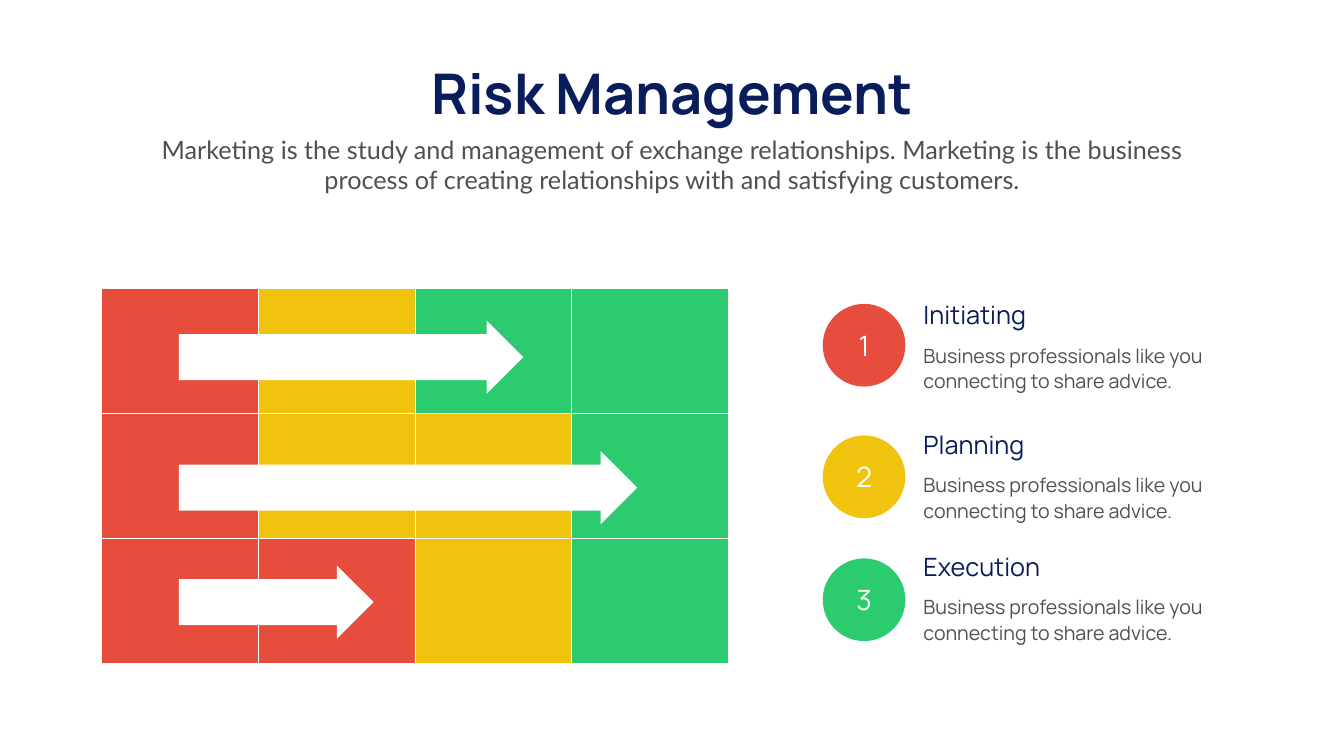
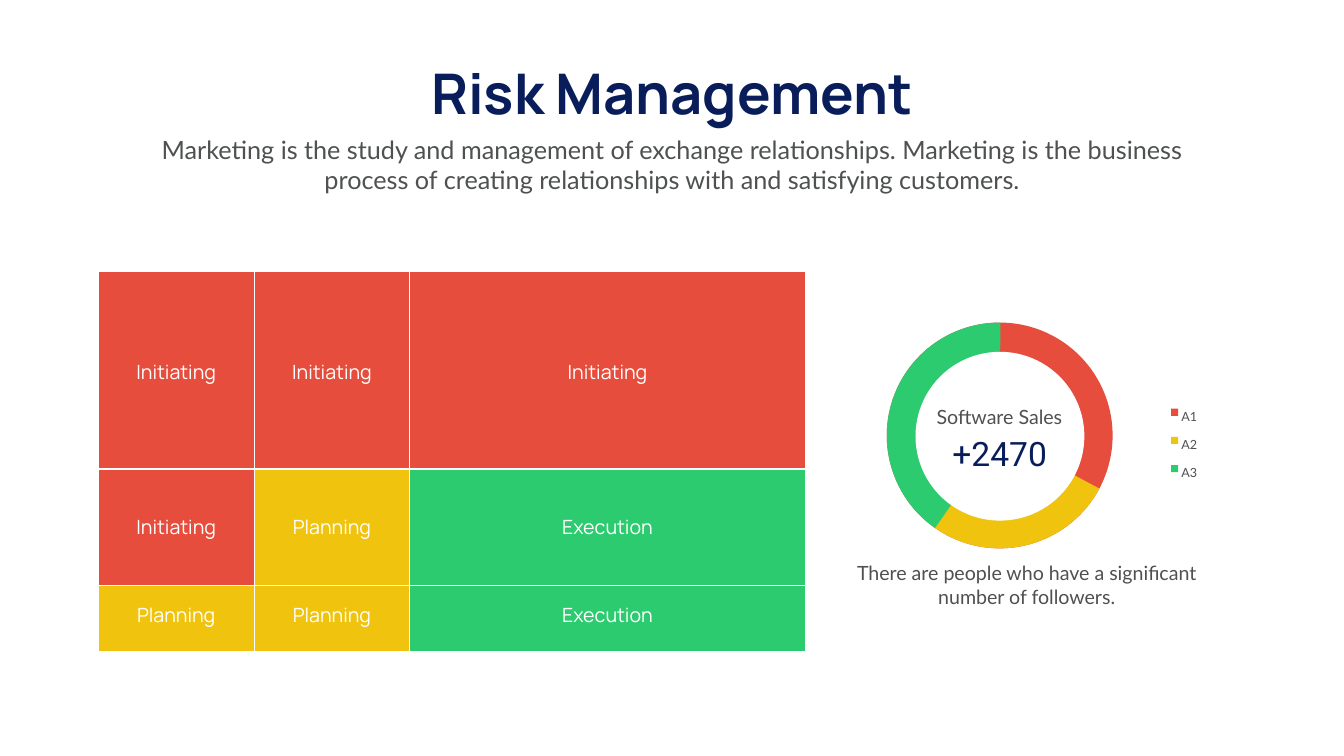
from dataclasses import dataclass

from pptx import Presentation
from pptx.dml.color import RGBColor
from pptx.enum.shapes import MSO_SHAPE
from pptx.enum.text import MSO_ANCHOR, MSO_AUTO_SIZE, PP_ALIGN
from pptx.shapes.autoshape import Shape
from pptx.slide import Slide
from pptx.text.text import TextFrame
from pptx.util import Inches, Pt

RED, YELLOW, GREEN = "E64D3C", "F0C30F", "2CCB6F"
NAVY, GREY, WHITE, PAPER = "091D5B", "4E514F", "FFFFFF", "FEFFFE"
HEADING_FONT, BODY_FONT, FIGURE_FONT = "Manrope", "Lato", "Roboto"

TITLE = "Risk Management"
SUBTITLE = (
    "Marketing is the study and management of exchange relationships. "
    "Marketing is the business process of creating relationships with and "
    "satisfying customers."
)
ADVICE = "Business professionals like you connecting to share advice."
PHASES = {"Initiating": RED, "Planning": YELLOW, "Execution": GREEN}


@dataclass(frozen=True)
class Box:
    left: float
    top: float
    width: float
    height: float


@dataclass(frozen=True)
class Step:
    phase: str
    heading_top: float
    circle_top: float


@dataclass(frozen=True)
class ProgressArrow:
    top: float
    length: float


@dataclass(frozen=True)
class MatrixRow:
    top: float
    height: float
    label_top: float
    phases: tuple[str, ...]


@dataclass(frozen=True)
class RingSlice:
    color: str
    start: float
    end: float


STEPS = (
    Step("Initiating", 5.89, 6.03),
    Step("Planning", 8.46, 8.64),
    Step("Execution", 10.88, 11.08),
)
RISK_GRID = (
    (RED, YELLOW, GREEN, GREEN),
    (RED, YELLOW, YELLOW, GREEN),
    (RED, RED, YELLOW, GREEN),
)
ARROWS = (
    ProgressArrow(6.36, 6.83),
    ProgressArrow(8.95, 9.09),
    ProgressArrow(11.22, 3.86),
)
MATRIX_COLUMNS = ((1.95, 3.09), (5.04, 3.09), (8.13, 7.84))
MATRIX_ROWS = (
    MatrixRow(5.38, 3.92, 7.09, ("Initiating", "Initiating", "Initiating")),
    MatrixRow(9.31, 2.33, 10.17, ("Initiating", "Planning", "Execution")),
    MatrixRow(11.61, 1.31, 11.92, ("Planning", "Planning", "Execution")),
)
RING_SLICES = (RingSlice(YELLOW, 28.05, 126.24), RingSlice(GREEN, 124.94, 270.36))


def rgb(color: str) -> RGBColor:
    return RGBColor.from_string(color)


def write(
    frame: TextFrame,
    text: str,
    *,
    size: float,
    color: str,
    font: str = HEADING_FONT,
    bold: bool = False,
    align: PP_ALIGN = PP_ALIGN.LEFT,
    line_spacing: float | None = None,
) -> None:
    paragraph = frame.paragraphs[0]
    paragraph.alignment = align
    if line_spacing is not None:
        paragraph.line_spacing = Pt(line_spacing)
    run = paragraph.add_run()
    run.text = text
    run.font.name = font
    run.font.size = Pt(size)
    run.font.bold = bold
    run.font.color.rgb = rgb(color)


def add_text(slide: Slide, box: Box, text: str, wrap: bool = True, **text_format) -> None:
    frame = slide.shapes.add_textbox(
        Inches(box.left), Inches(box.top), Inches(box.width), Inches(box.height)
    ).text_frame
    frame.word_wrap = wrap
    frame.auto_size = MSO_AUTO_SIZE.SHAPE_TO_FIT_TEXT
    write(frame, text, **text_format)


def add_filled(
    slide: Slide,
    kind: MSO_SHAPE,
    box: Box,
    color: str,
    outlined: bool = False,
    adjustments: tuple[float, ...] = (),
) -> Shape:
    shape = slide.shapes.add_shape(
        kind, Inches(box.left), Inches(box.top), Inches(box.width), Inches(box.height)
    )
    shape.shadow.inherit = False
    shape.fill.solid()
    shape.fill.fore_color.rgb = rgb(color)
    if outlined:
        shape.line.color.rgb = rgb(WHITE)
        shape.line.width = Pt(1)
    else:
        shape.line.fill.background()
    for index, value in enumerate(adjustments):
        shape.adjustments[index] = value
    return shape


def add_titled_slide(deck: Presentation) -> Slide:
    slide = deck.slides.add_slide(deck.slide_layouts[6])
    slide.background.fill.solid()
    slide.background.fill.fore_color.rgb = rgb(PAPER)
    add_text(slide, Box(7.99, 1.12, 10.68, 1.45), TITLE, wrap=False,
             size=80, color=NAVY, bold=True, align=PP_ALIGN.CENTER)
    add_text(slide, Box(2.92, 2.61, 20.82, 1.31), SUBTITLE,
             size=36, color=GREY, font=BODY_FONT, align=PP_ALIGN.CENTER)
    return slide


def add_step(slide: Slide, number: int, step: Step) -> None:
    add_text(slide, Box(18.22, step.heading_top + 0.84, 6.43, 1.13), ADVICE,
             size=28, color=GREY, line_spacing=36.6)
    add_text(slide, Box(18.22, step.heading_top, 4.89, 0.71), step.phase,
             size=36, color=NAVY)
    circle = add_filled(slide, MSO_SHAPE.OVAL, Box(16.32, step.circle_top, 1.64, 1.64),
                        PHASES[step.phase])
    circle.text_frame.vertical_anchor = MSO_ANCHOR.MIDDLE
    write(circle.text_frame, str(number), size=40, color=WHITE, align=PP_ALIGN.CENTER)


def add_risk_grid(slide: Slide) -> None:
    width, height = 3.11, 2.48
    for row, colors in enumerate(RISK_GRID):
        for column, color in enumerate(colors):
            cell = Box(2.01 + column * width, 5.73 + row * height, width, height)
            add_filled(slide, MSO_SHAPE.RECTANGLE, cell, color, outlined=True)
    for arrow in ARROWS:
        add_filled(slide, MSO_SHAPE.RIGHT_ARROW, Box(3.55, arrow.top, arrow.length, 1.45),
                   PAPER, adjustments=(0.63, 0.5))


def add_phase_matrix(slide: Slide) -> None:
    label_width = 2.36
    for row in MATRIX_ROWS:
        for (left, width), phase in zip(MATRIX_COLUMNS, row.phases):
            add_filled(slide, MSO_SHAPE.RECTANGLE, Box(left, row.top, width, row.height),
                       PHASES[phase], outlined=True)
            label_left = left + (width - label_width) / 2
            add_text(slide, Box(label_left, row.label_top, label_width, 0.57), phase,
                     size=28, color=WHITE, align=PP_ALIGN.CENTER)


def add_sales_ring(slide: Slide) -> None:
    """Draw the ring as a red disc, pie slices over it and a white centre."""
    disc = Box(17.59, 6.4, 4.48, 4.48)
    add_filled(slide, MSO_SHAPE.OVAL, disc, RED)
    for part in RING_SLICES:
        # One degree is 60000 angle units; one adjustment unit is 100000.
        add_filled(slide, MSO_SHAPE.PIE, disc, part.color,
                   adjustments=(part.start * 0.6, part.end * 0.6))
    add_filled(slide, MSO_SHAPE.OVAL, Box(18.16, 6.98, 3.35, 3.35), WHITE)
    add_text(slide, Box(17.74, 7.89, 4.17, 0.62), "Software Sales", size=28, color=GREY,
             font=BODY_FONT, align=PP_ALIGN.CENTER, line_spacing=40.8)
    add_text(slide, Box(18.23, 8.54, 3.2, 0.91), "+2470", size=48, color=NAVY,
             font=FIGURE_FONT, align=PP_ALIGN.CENTER)
    add_text(slide, Box(16.74, 11.08, 7.25, 1.04),
             "There are people who have a significant number of followers.",
             size=28, color=GREY, font=BODY_FONT, align=PP_ALIGN.CENTER)


def add_legend(slide: Slide) -> None:
    for index, color in enumerate(PHASES.values()):
        offset = index * 0.56
        add_filled(slide, MSO_SHAPE.RECTANGLE, Box(23.23, 8.11 + offset, 0.14, 0.14), color)
        add_text(slide, Box(23.01, 7.79 + offset, 1.16, 0.59), f"A{index + 1}", size=18,
                 color=GREY, font=BODY_FONT, align=PP_ALIGN.CENTER, line_spacing=40.8)


def main() -> None:
    deck = Presentation()
    deck.slide_width, deck.slide_height = Inches(26.66), Inches(15)

    progress = add_titled_slide(deck)
    for number, step in enumerate(STEPS, start=1):
        add_step(progress, number, step)
    add_risk_grid(progress)

    sales = add_titled_slide(deck)
    add_sales_ring(sales)
    add_phase_matrix(sales)
    add_legend(sales)

    deck.save("out.pptx")


if __name__ == "__main__":
    main()
